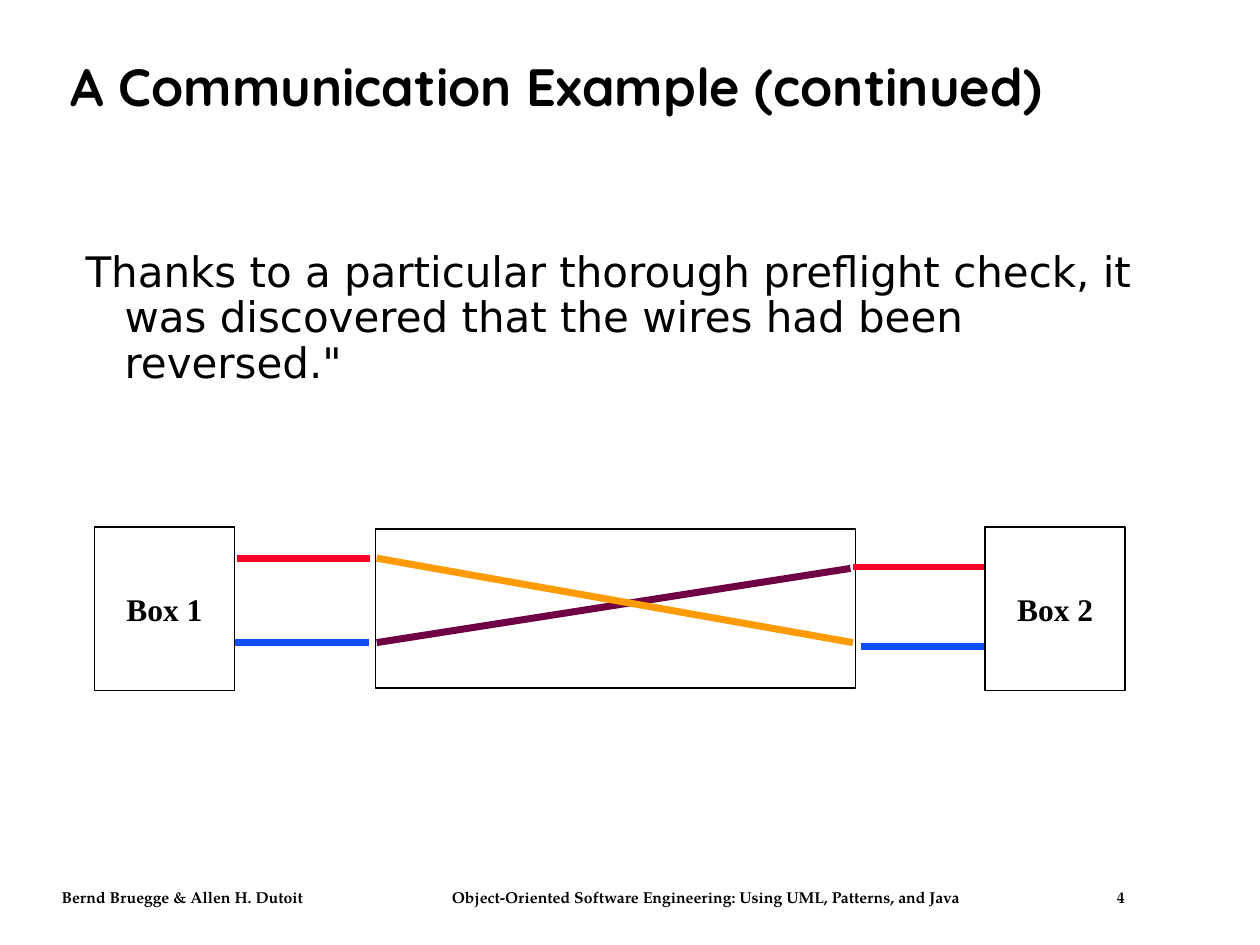
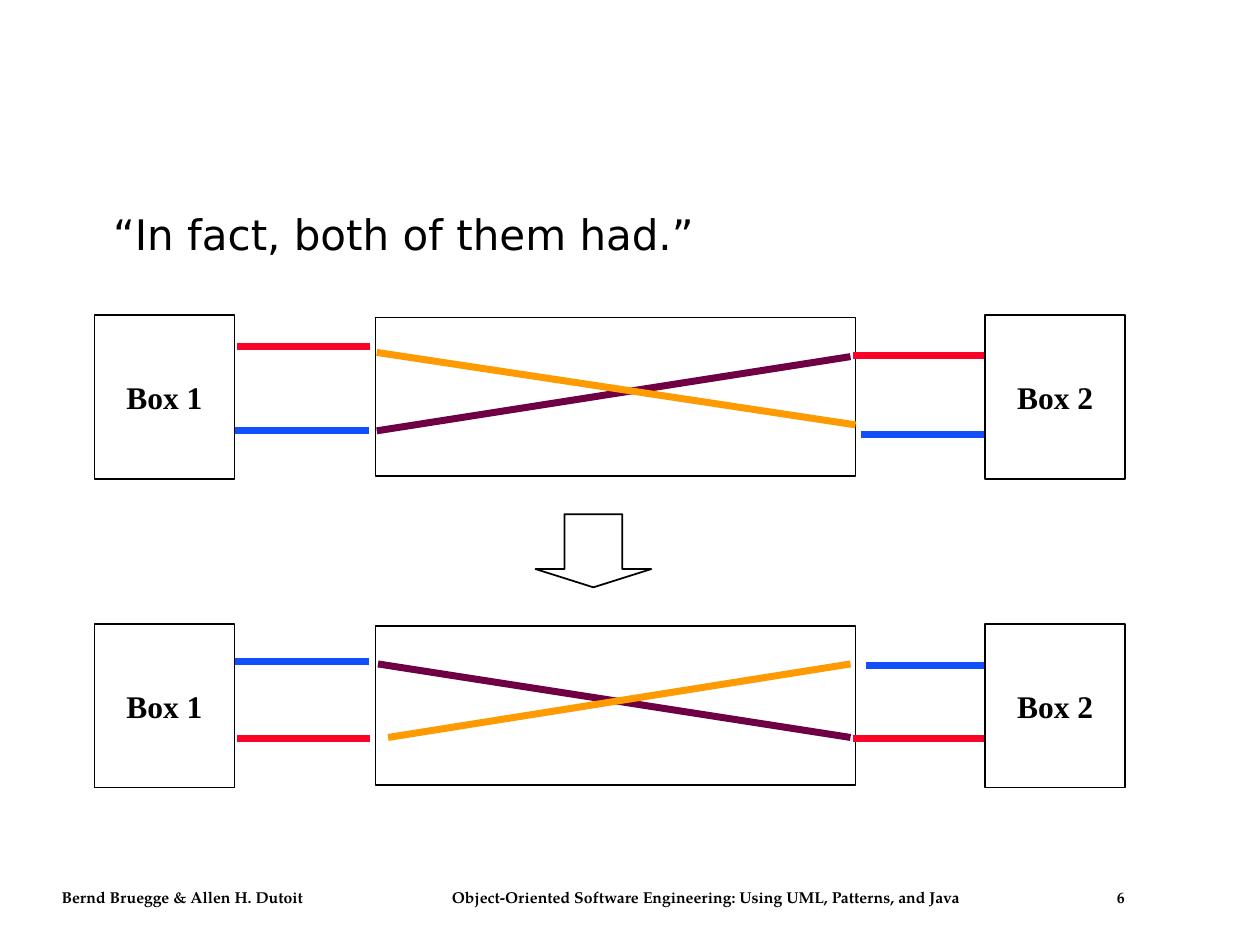
from dataclasses import dataclass

from lxml import etree
from pptx import Presentation
from pptx.dml.color import RGBColor as Color
from pptx.enum.shapes import MSO_CONNECTOR as Connector, MSO_SHAPE as Shape
from pptx.enum.text import MSO_ANCHOR as Anchor, PP_ALIGN as Align
from pptx.oxml.ns import qn
from pptx.util import Pt


@dataclass(frozen=True)
class Theme:
    black: str = "000000"
    white: str = "FFFFFF"
    red: str = "FC0128"
    blue: str = "114FFB"
    purple: str = "6E0043"
    orange: str = "FE9B03"
    title_font: str = "Quicksand"
    body_font: str = "DejaVu Sans"
    box_font: str = "Times New Roman"
    footer_font: str = "TeX Gyre Pagella"
    title_size: int = 30
    body_size: int = 24
    box_size: int = 18
    footer_size: int = 9
    outline: int = 1
    wire: int = 4


@dataclass(frozen=True)
class Circuit:
    top: float
    red: tuple
    blue: tuple
    purple: tuple
    orange: tuple
    blue_right: float = 491.8


THEME = Theme()
FOOTER = (
    "Bernd Bruegge & Allen H. Dutoit",
    "Object-Oriented Software Engineering: Using UML, Patterns, and Java",
)
FOOTER_TABS = (223, 603)
INDENT = 22.3
BOX_SIZE = (80, 93.6)
BOX_LEFTS = {"Box 1": 54, "Box 2": 563}

REVERSED = Circuit(
    301, red=(18, 23), blue=(66, 68.4),
    purple=(215.3, 66.2, 486, 23.8), orange=(215.3, 18, 487.4, 66.2),
)
BEFORE = Circuit(
    180, red=(18, 23), blue=(65.8, 68.4),
    purple=(215.3, 66.2, 486, 23.8), orange=(215.3, 21.4, 488.9, 62.8),
)
AFTER = Circuit(
    356.4, red=(65.5, 65.5), blue=(21.4, 23.8),
    purple=(216, 23, 486, 65), orange=(221.8, 65, 486, 23), blue_right=494.6,
)


def style_font(font, name, size, bold):
    font.name = name
    font.size = Pt(size)
    font.bold = bold
    font.color.rgb = Color.from_string(THEME.black)


def add_run(para, text, name, size, bold=False):
    span = para.add_run()
    span.text = text
    style_font(span.font, name, size, bold)


def add_textbox(slide, left, top, width, height, anchor=Anchor.TOP):
    box = slide.shapes.add_textbox(Pt(left), Pt(top), Pt(width), Pt(height))
    box.text_frame.word_wrap = True
    box.text_frame.vertical_anchor = anchor
    return box.text_frame.paragraphs[0]


def add_title(slide, text):
    para = add_textbox(slide, 33.1, 17.3, 642.2, 67.7, Anchor.MIDDLE)
    para.line_spacing = 0.9
    add_run(para, text, THEME.title_font, THEME.title_size, True)


def add_quote(slide, text, left, top, width, height, first_indent=0):
    para = add_textbox(slide, left, top, width, height)
    para.line_spacing = 0.9
    properties = para._p.get_or_add_pPr()
    properties.set("marL", str(Pt(INDENT)))
    properties.set("indent", str(Pt(first_indent)))
    add_run(para, text, THEME.body_font, THEME.body_size)


def add_footer(slide, number):
    para = add_textbox(slide, 28.1, 504, 660.2, 18)
    tabs = etree.SubElement(para._p.get_or_add_pPr(), qn("a:tabLst"))
    for position in FOOTER_TABS:
        etree.SubElement(tabs, qn("a:tab"), pos=str(Pt(position)), algn="l")
    text = "\t".join((*FOOTER, str(number)))
    add_run(para, text, THEME.footer_font, THEME.footer_size, True)


def add_outlined(shapes, kind, left, top, width, height):
    shape = shapes.add_shape(kind, Pt(left), Pt(top), Pt(width), Pt(height))
    shape.shadow.inherit = False
    shape.fill.solid()
    shape.fill.fore_color.rgb = Color.from_string(THEME.white)
    shape.line.color.rgb = Color.from_string(THEME.black)
    shape.line.width = Pt(THEME.outline)
    return shape


def add_labelled_box(shapes, label, left, top):
    frame = add_outlined(shapes, Shape.RECTANGLE, left, top, *BOX_SIZE).text_frame
    frame.word_wrap = False
    frame.vertical_anchor = Anchor.MIDDLE
    para = frame.paragraphs[0]
    para.alignment = Align.CENTER
    add_run(para, label, THEME.box_font, THEME.box_size, True)


def add_wire(shapes, color, left, start, right, end):
    wire = shapes.add_connector(
        Connector.STRAIGHT, Pt(left), Pt(start), Pt(right), Pt(end))
    wire.line.color.rgb = Color.from_string(color)
    wire.line.width = Pt(THEME.wire)
    etree.SubElement(wire._element.spPr, qn("a:effectLst"))


def add_circuit(shapes, circuit):
    top = circuit.top
    add_outlined(shapes, Shape.RECTANGLE, 214.6, top + 1.4, 274.3, 90.7)
    (red_in, red_out), (blue_in, blue_out) = circuit.red, circuit.blue
    wires = (
        (THEME.red, 135.4, red_in, 211.7, red_in),
        (THEME.blue, 131.8, blue_in, 211, blue_in),
        (THEME.blue, circuit.blue_right, blue_out, circuit.blue_right + 72, blue_out),
        (THEME.red, 487.4, red_out, 565.2, red_out),
        (THEME.purple, *circuit.purple),
        (THEME.orange, *circuit.orange),
    )
    for color, left, start, right, end in wires:
        add_wire(shapes, color, left, top + start, right, top + end)
    for label, left in BOX_LEFTS.items():
        add_labelled_box(shapes, label, left, top)


def add_page(deck, number):
    page = deck.slides.add_slide(deck.slide_layouts[6])
    page.background.fill.solid()
    page.background.fill.fore_color.rgb = Color.from_string(THEME.white)
    add_footer(page, number)
    return page


def main():
    deck = Presentation()
    deck.slide_width, deck.slide_height = Pt(720), Pt(540)

    page = add_page(deck, 4)
    add_circuit(page.shapes, REVERSED)
    add_title(page, "A Communication Example (continued)")
    add_quote(
        page,
        "Thanks to a particular thorough preflight check, it was discovered "
        "that the wires had been reversed.\"",
        41.8, 140, 630, 340, -INDENT,
    )

    page = add_page(deck, 6)
    add_quote(page, "“In fact, both of them had.”", 35.3, 118.8, 650.2, 100)
    for circuit in (AFTER, BEFORE):
        add_circuit(page.shapes.add_group_shape().shapes, circuit)
    arrow = add_outlined(page.shapes, Shape.DOWN_ARROW, 306, 293.8, 66.2, 41.8)
    arrow.adjustments[0], arrow.adjustments[1] = 0.5, 0.25

    deck.save("out.pptx")


if __name__ == "__main__":
    main()
